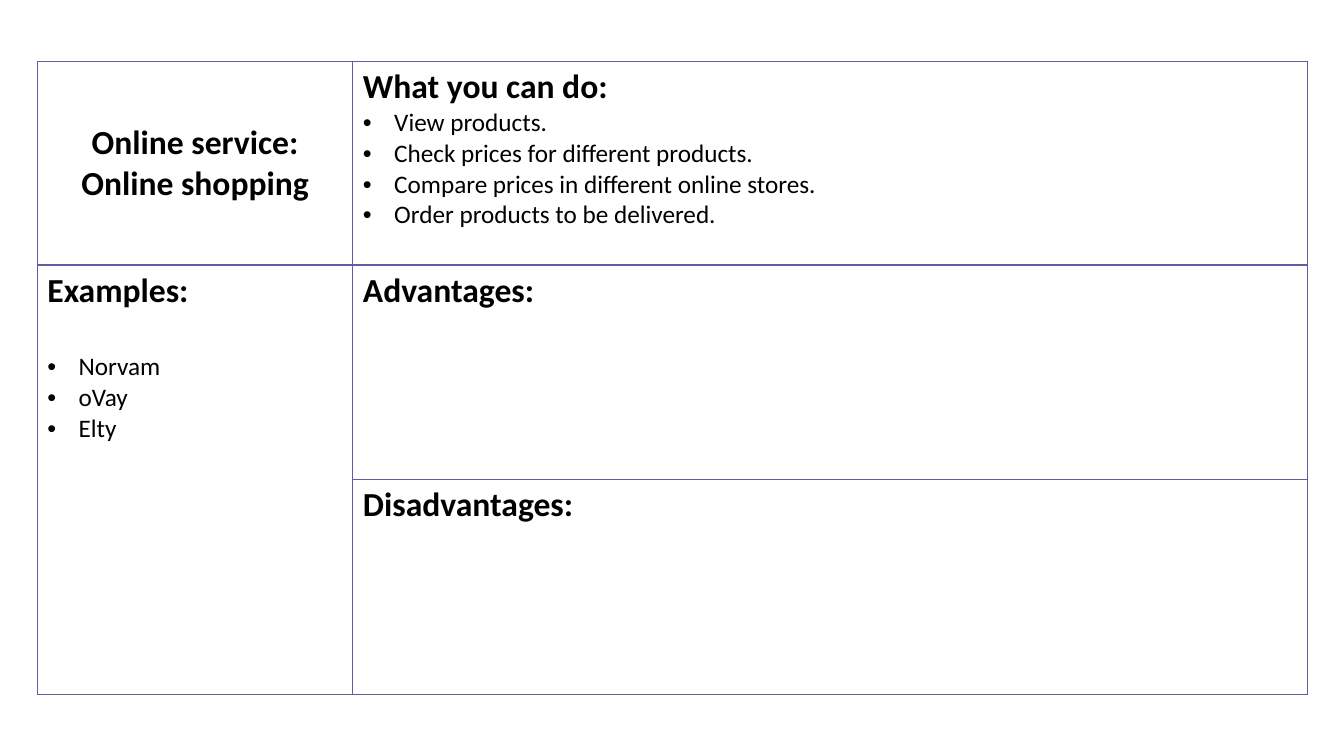
from lxml.etree import SubElement as Sub
from pptx import Presentation
from pptx.dml.color import RGBColor as Rgb
from pptx.enum.text import MSO_ANCHOR as Anchor, PP_ALIGN as Align
from pptx.oxml.ns import qn
from pptx.util import Inches, Pt

COLORS = {"text": "000000", "line": "6759A2"}
FONT = "Calibri"
HEAD, BODY = 24, 18
WIDE, HIGH = 13.33, 7.5
BOX = (0.37, 0.61, 12.6, 6.28)
COLS = (3.13, 9.47)
ROWS = (2.02, 2.13, 2.13)
TASKS = [
    "View products.",
    "Check prices for different products.",
    "Compare prices in different online stores.",
    "Order products to be delivered.",
]
SHOPS = ["Norvam", "oVay", "Elty"]


def style(par, size, bold):
    for run in par.runs:
        font = run.font
        font.name, font.size, font.bold = FONT, Pt(size), bold
        font.color.rgb = Rgb.from_string(COLORS["text"])


def bullet(par):
    props = par._p.get_or_add_pPr()
    props.set("marL", str(Inches(0.31)))
    props.set("indent", str(-Inches(0.31)))
    Sub(props, qn("a:buFont"), typeface="Arial")
    Sub(props, qn("a:buChar"), char="•")


def frame(cell):
    props = cell._tc.get_or_add_tcPr()
    for side in "LRTB":
        line = Sub(props, qn(f"a:ln{side}"), w=str(Pt(1)))
        fill = Sub(line, qn("a:solidFill"))
        Sub(fill, qn("a:srgbClr"), val=COLORS["line"])
    cell.fill.background()


def write(cell, heads, items=(), gap=0):
    text = cell.text_frame
    text.text = "\n".join([*heads, *items])
    for spot, par in enumerate(text.paragraphs):
        listed = spot >= len(heads)
        if listed:
            bullet(par)
        if gap and spot == len(heads):
            par.space_before = Pt(gap)
        style(par, BODY if listed else HEAD, not listed)


def center(cell):
    cell.vertical_anchor = Anchor.MIDDLE
    for par in cell.text_frame.paragraphs:
        par.alignment = Align.CENTER


def sheet(slide, box):
    area = [Inches(size) for size in box]
    grid = slide.shapes.add_table(len(ROWS), len(COLS), *area).table
    grid.first_row = grid.horz_banding = False
    for col, width in zip(grid.columns, COLS):
        col.width = Inches(width)
    for row, height in zip(grid.rows, ROWS):
        row.height = Inches(height)
    for cell in grid.iter_cells():
        frame(cell)
    grid.cell(1, 0).merge(grid.cell(2, 0))
    write(grid.cell(0, 0), ["Online service:", "Online shopping"])
    center(grid.cell(0, 0))
    write(grid.cell(0, 1), ["What you can do:"], TASKS)
    write(grid.cell(1, 0), ["Examples:"], SHOPS, gap=29)
    write(grid.cell(1, 1), ["Advantages:"])
    write(grid.cell(2, 1), ["Disadvantages:"])


def main():
    deck = Presentation()
    deck.slide_width, deck.slide_height = Inches(WIDE), Inches(HIGH)
    slide = deck.slides.add_slide(deck.slide_layouts[6])
    sheet(slide, BOX)
    deck.save("out.pptx")


if __name__ == "__main__":
    main()
